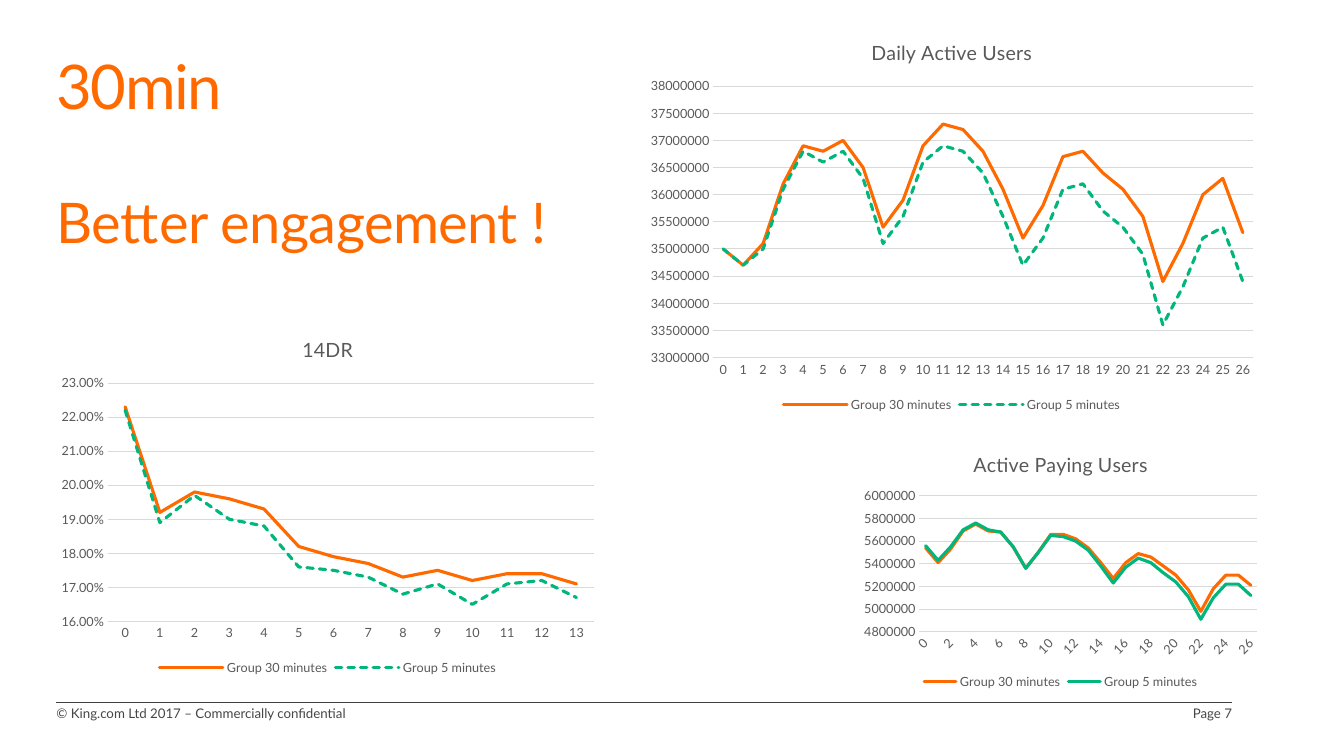
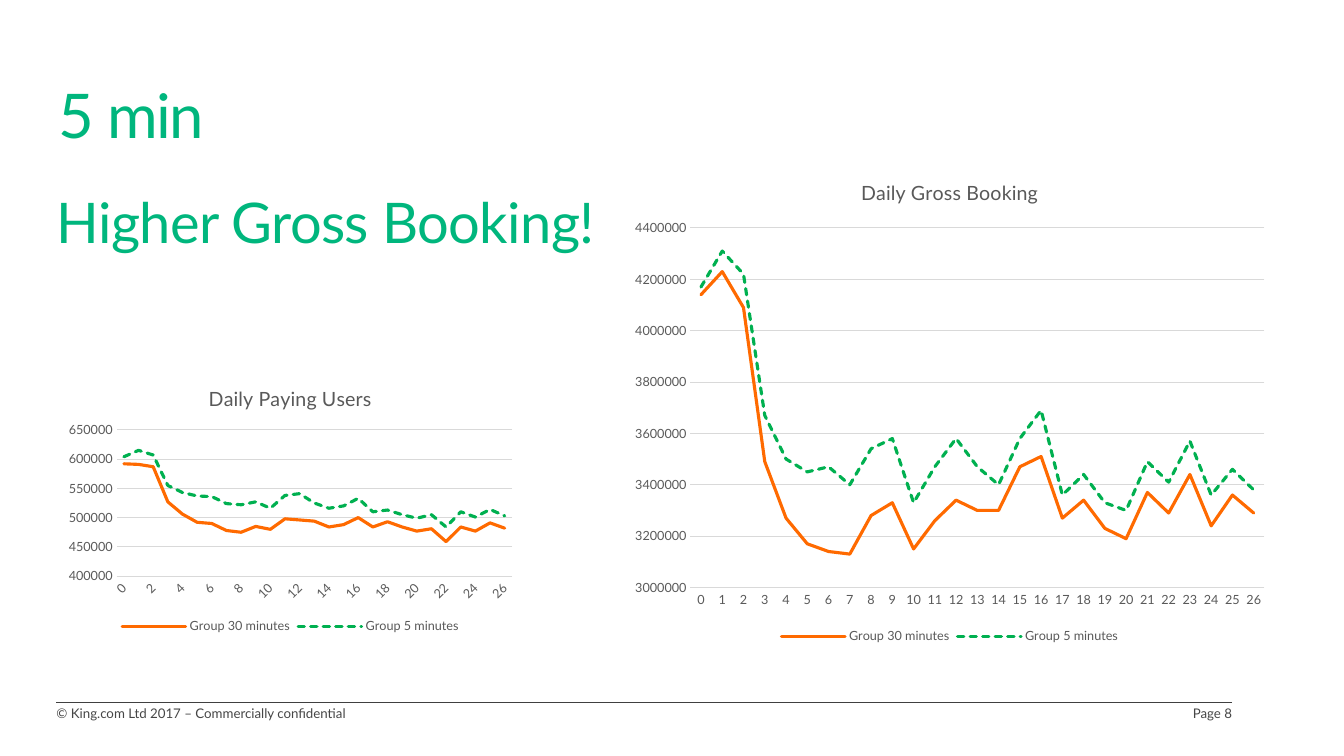
from itertools import pairwise
from lxml import etree
from pptx import Presentation
from pptx import util as u
from pptx.chart.data import CategoryChartData
from pptx.dml.color import RGBColor
from pptx.enum import chart as ch, dml, text
from pptx.oxml.ns import qn

THEME = {
    "font": "Lato",
    "orange": "FF6A00", "green": "00B67D", "leaf": "00B050",
    "footer": "464646", "rule": "404040", "label": "595959", "grid": "D9D9D9",
    "title_size": 44, "claim_size": 40, "footer_size": 9.5,
    "chart_title_size": 14, "label_size": 9,
    "series_width": 2.25, "grid_width": 0.75, "rule_width": 0.5,
}
W, H = 13.33, 7.5
LEFT, RIGHT, RULE_Y, FOOTER_Y = 0.56, 12.22, 6.97, 7
GROUPS = ("Group 30 minutes", "Group 5 minutes")
FOOTER = "© King.com Ltd 2017 – Commercially confidential"

# "first" and "floor" (axis minimum) are whole multiples of "unit".
# "gap" is second minus first at the named days, straight in between.
SLIDES = [
    {
        "page": 7, "color": "orange",
        "title": ("30min", (LEFT, 0.21, 12.32, 1.38)),
        "claim": ("Better engagement !", (LEFT, 1.94, 5.02, 0.73)),
        "charts": [
            {
                "title": "14DR", "box": (0.5, 3.17, 5.5, 3.57),
                "unit": 0.001, "floor": 160, "format": "0.00%",
                "second": "green", "dashed": True,
                "first": [223, 192, 198, 196, 193, 182, 179, 177, 173, 175, 172, 174,
                          174, 171],
                "gap": dict(enumerate([-1, -3, -1, -6, -5, -6, -4, -4, -5, -4, -7, -3,
                                       -2, -4])),
            },
            {
                "title": "Daily Active Users", "box": (6.33, 0.21, 6.22, 3.92),
                "unit": 100000, "floor": 330, "format": "General",
                "second": "green", "dashed": True,
                "first": [350, 347, 351, 362, 369, 368, 370, 365, 354, 359, 369, 373, 372,
                          368, 361, 352, 358, 367, 368, 364, 361, 356, 344, 351, 360, 363,
                          353],
                "gap": {0: 0, 26: -9},
            },
            {
                "title": "Active Paying Users", "box": (8.49, 4.33, 4.06, 2.55),
                "unit": 10000, "floor": 480, "format": "General",
                "second": "green", "dashed": False,
                "first": [554, 541, 553, 569, 575, 569, 568, 555, 536, 550, 566, 566, 562,
                          554, 541, 527, 541, 549, 546, 538, 530, 517, 498, 518, 530, 530,
                          521],
                "gap": {0: 2, 8: 0, 26: -9},
            },
        ],
    },
    {
        "page": 8, "color": "green",
        "title": ("5 min", (0.58, 0.5, 12.32, 1.38)),
        "claim": ("Higher Gross Booking!", (LEFT, 1.94, 6.18, 0.64)),
        "charts": [
            {
                "title": "Daily Gross Booking", "box": (6.17, 1.58, 6.5, 4.85),
                "unit": 10000, "floor": 300, "format": "General",
                "second": "leaf", "dashed": True,
                "first": [414, 423, 409, 349, 327, 317, 314, 313, 328, 333, 315, 326, 334,
                          330, 330, 347, 351, 327, 334, 323, 319, 337, 329, 344, 324, 336,
                          329],
                "gap": {0: 3, 6: 33, 7: 27, 9: 25, 10: 18, 12: 24, 14: 10, 15: 11,
                        16: 18, 17: 9, 23: 13, 26: 9},
            },
            {
                "title": "Daily Paying Users", "box": (0.59, 3.67, 4.58, 2.66),
                "unit": 1000, "floor": 400, "format": "General",
                "second": "leaf", "dashed": True,
                "first": [592, 591, 587, 527, 506, 492, 490, 478, 475, 485, 480, 498, 496,
                          494, 484, 488, 500, 484, 493, 484, 477, 481, 459, 484, 477, 491,
                          482],
                "gap": {0: 12, 1: 24, 2: 20, 5: 45, 8: 47, 10: 36, 12: 45, 13: 31,
                        16: 33, 18: 20, 23: 26, 26: 21},
            },
        ],
    },
]


def inches(values):
    return [u.Inches(v) for v in values]


def set_all(target, formats):
    for name, value in formats.items():
        setattr(target, name, value)


def style_font(font, size, color):
    set_all(font, {"name": THEME["font"], "size": u.Pt(size), "bold": False})
    font.color.rgb = RGBColor.from_string(THEME[color])


def style_line(line, color, width):
    line.color.rgb = RGBColor.from_string(THEME[color])
    line.width = u.Pt(width)


def add_text(s, content, box, size, color, spacing=1.0, tracking=0,
             anchor=text.MSO_ANCHOR.TOP, align=text.PP_ALIGN.LEFT):
    """Add a one-line box; tracking is in points."""
    tf = s.shapes.add_textbox(*inches(box)).text_frame
    set_all(tf, {"word_wrap": True, "vertical_anchor": anchor})
    set_all(tf, dict.fromkeys(
        ("margin_left", "margin_right", "margin_top", "margin_bottom"), 0))
    p = tf.paragraphs[0]
    set_all(p, {"alignment": align, "line_spacing": spacing})
    r = p.add_run()
    r.text = content
    style_font(r.font, size, color)
    if tracking:
        r._r.get_or_add_rPr().set("spc", str(round(tracking * 100)))


def add_footer(s, page):
    rule = s.shapes.add_connector(1, *inches((RIGHT, RULE_Y, LEFT, RULE_Y)))
    style_line(rule.line, "rule", THEME["rule_width"])
    etree.SubElement(rule._element.spPr, qn("a:effectLst"))
    size = THEME["footer_size"]
    add_text(s, FOOTER, (LEFT, FOOTER_Y, 4.25, 0.29), size, "footer")
    add_text(s, f"Page {page}", (RIGHT - 0.79, FOOTER_Y, 0.79, 0.13), size, "footer",
             align=text.PP_ALIGN.RIGHT)


def second_series(first, gap):
    """Add the gap, straight between its named days, to the first series."""
    values = [first[0] + gap[0]]
    for (start, low), (end, high) in pairwise(gap.items()):
        for day in range(start + 1, end + 1):
            share = (day - start) / (end - start)
            values.append(first[day] + round(low + (high - low) * share))
    return values


def style_axes(chart, item):
    value, category = chart.value_axis, chart.category_axis
    set_all(value, {"minimum_scale": item["floor"] * item["unit"],
                    "has_major_gridlines": True})
    set_all(value.tick_labels, {"number_format": item["format"],
                                "number_format_is_linked": False})
    style_line(value.major_gridlines.format.line, "grid", THEME["grid_width"])
    value.format.line.fill.background()
    style_line(category.format.line, "grid", THEME["grid_width"])
    for axis in (value, category):
        set_all(axis, {"major_tick_mark": ch.XL_TICK_MARK.NONE,
                       "minor_tick_mark": ch.XL_TICK_MARK.NONE})
        style_font(axis.tick_labels.font, THEME["label_size"], "label")
        # Lets the renderer slant labels that do not fit
        axis._element.find(f"{qn('c:txPr')}/{qn('a:bodyPr')}").set("rot", "-60000000")


def add_line_chart(s, item):
    first = item["first"]
    data = CategoryChartData(number_format=item["format"])
    data.categories = [str(day) for day in range(len(first))]
    for name, values in zip(GROUPS, (first, second_series(first, item["gap"]))):
        data.add_series(name, [round(v * item["unit"], 3) for v in values])
    chart = s.shapes.add_chart(ch.XL_CHART_TYPE.LINE, *inches(item["box"]), data).chart
    style_font(chart.font, THEME["label_size"], "label")

    chart.has_title = True
    title = chart.chart_title
    title.include_in_layout = False
    title.text_frame.text = item["title"]
    style_font(title.text_frame.paragraphs[0].runs[0].font,
               THEME["chart_title_size"], "label")

    chart.has_legend = True
    set_all(chart.legend, {"position": ch.XL_LEGEND_POSITION.BOTTOM,
                           "include_in_layout": False})
    style_font(chart.legend.font, THEME["label_size"], "label")
    style_axes(chart, item)

    plot = chart.plots[0]
    plot.vary_by_categories = False
    for series, color in zip(plot.series, ("orange", item["second"])):
        series.smooth = False
        style_line(series.format.line, color, THEME["series_width"])
        series._element.find(f"{qn('c:spPr')}/{qn('a:ln')}").set("cap", "rnd")
    if item["dashed"]:
        plot.series[1].format.line.dash_style = dml.MSO_LINE.SQUARE_DOT


def add_slide(prs, page):
    s = prs.slides.add_slide(prs.slide_layouts[6])
    add_footer(s, page["page"])
    add_text(s, *page["title"], THEME["title_size"], page["color"], spacing=0.85,
             tracking=-1, anchor=text.MSO_ANCHOR.MIDDLE)
    add_text(s, *page["claim"], THEME["claim_size"], page["color"], spacing=0.9,
             tracking=-0.4)
    for item in page["charts"]:
        add_line_chart(s, item)


def main():
    prs = Presentation()
    set_all(prs, {"slide_width": u.Inches(W), "slide_height": u.Inches(H)})
    for page in SLIDES:
        add_slide(prs, page)
    prs.save("out.pptx")


if __name__ == "__main__":
    main()
